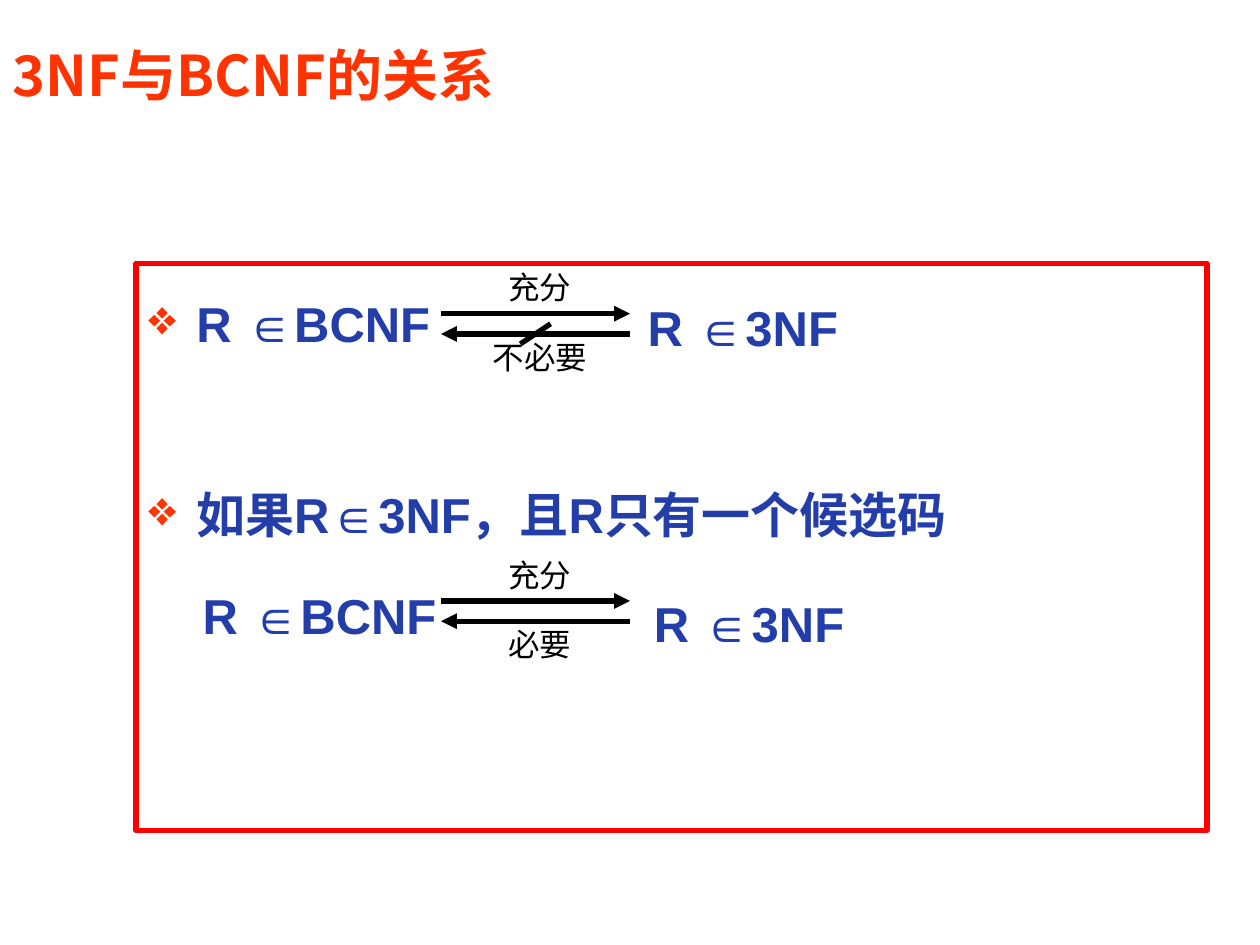
"""Build the slide on how 3NF and BCNF relate."""
import pptx
import pptx.util
import pptx.dml.color
import pptx.enum.shapes
import pptx.enum.text
import pptx.oxml.ns
from lxml import etree
from dataclasses import dataclass

Inches, Pt = pptx.util.Inches, pptx.util.Pt
RGB = pptx.dml.color.RGBColor.from_string
PP, MSO = pptx.enum.text.PP_ALIGN, pptx.enum.text.MSO_ANCHOR
qn = pptx.oxml.ns.qn


@dataclass
class Theme:
    accent: str = "FF3300"
    frame: str = "FF0000"
    body: str = "233DA9"
    ink: str = "000000"
    title_font: str = "Noto Sans CJK SC"
    font: str = "Arial"
    title_size: int = 32
    body_size: int = 28
    label_size: int = 18
    line: int = 3


T = Theme()


def style(p, size, color, bold=True, font=T.font):
    for r in p.runs:
        r.font.name, r.font.size, r.font.bold = font, Pt(size), bold
        r.font.color.rgb = RGB(color)


def add_line(s, x1, y1, x2, y2, arrow=True):
    c = s.shapes.add_connector(pptx.enum.shapes.MSO_CONNECTOR.STRAIGHT,
                               Inches(x1), Inches(y1), Inches(x2), Inches(y2))
    c.line.color.rgb, c.line.width = RGB(T.ink), Pt(T.line)
    if arrow:
        etree.SubElement(c.line._get_or_add_ln(), qn("a:tailEnd"), type="triangle")
    etree.SubElement(c._element.spPr, qn("a:effectLst"))


prs = pptx.Presentation()
prs.slide_width, prs.slide_height = Inches(10), Inches(7.5)
s = prs.slides.add_slide(prs.slide_layouts[5])

title = s.shapes.title
title.left, title.top, title.width, title.height = map(Inches, (0, 0.28, 8.08, 0.62))
tf = title.text_frame
tf.text = "3NF与BCNF的关系"
tf.vertical_anchor = MSO.MIDDLE
tf.auto_size = pptx.enum.text.MSO_AUTO_SIZE.NONE
p = tf.paragraphs[0]
p.alignment = PP.LEFT
style(p, T.title_size, T.accent, font=T.title_font)
etree.SubElement(p.runs[0].font._element, qn("a:ea"), typeface=T.title_font)

sp = s.shapes.add_textbox(Inches(1.08), Inches(2.09), Inches(8.5), Inches(4.5))
sp.line.color.rgb, sp.line.width = RGB(T.frame), Pt(T.line)
tf = sp.text_frame
tf.word_wrap = True
body = [("R ∈BCNF", True, 1.4, 0),
        ("如果R∈3NF，且R只有一个候选码", True, 1.5, 59),
        ("R ∈BCNF", False, 1.5, 7)]
for i, (text, bullet, spacing, before) in enumerate(body):
    p = tf.add_paragraph() if i else tf.paragraphs[0]
    p.text = text
    p.line_spacing, p.space_before = spacing, Pt(before)
    pPr = p._p.get_or_add_pPr()
    pPr.set("marL", str(Inches(0.38 if bullet else 0.43)))
    pPr.set("indent", str(Inches(-0.38 if bullet else 0)))
    if bullet:
        clr = etree.SubElement(pPr, qn("a:buClr"))
        etree.SubElement(clr, qn("a:srgbClr"), val=T.accent)
        etree.SubElement(pPr, qn("a:buChar"), char="❖")
    style(p, T.body_size, T.body)

for top, right_x, right_y, lower in [(2.18, 5.14, 2.36, "不必要"), (4.46, 5.19, 4.71, "必要")]:
    add_line(s, 3.5, top + 0.31, 5, top + 0.31)
    add_line(s, 5, top + 0.47, 3.5, top + 0.47)
    for text, y in [("充分", top), (lower, top + 0.55)]:
        tf = s.shapes.add_textbox(Inches(3.5), Inches(y), Inches(1.57), Inches(0.24)).text_frame
        tf.text, tf.word_wrap, tf.vertical_anchor = text, False, MSO.MIDDLE
        p = tf.paragraphs[0]
        p.alignment, p.line_spacing = PP.CENTER, 0.9
        style(p, T.label_size, T.ink, bold=False)
    tf = s.shapes.add_textbox(Inches(right_x), Inches(right_y), Inches(2), Inches(0.45)).text_frame
    tf.text, tf.word_wrap = "R ∈3NF", True
    tf.margin_left = tf.margin_right = tf.margin_top = tf.margin_bottom = 0
    style(tf.paragraphs[0], T.body_size, T.body)

add_line(s, 4.37, 2.57, 4.13, 2.73, arrow=False)

prs.save("out.pptx")
